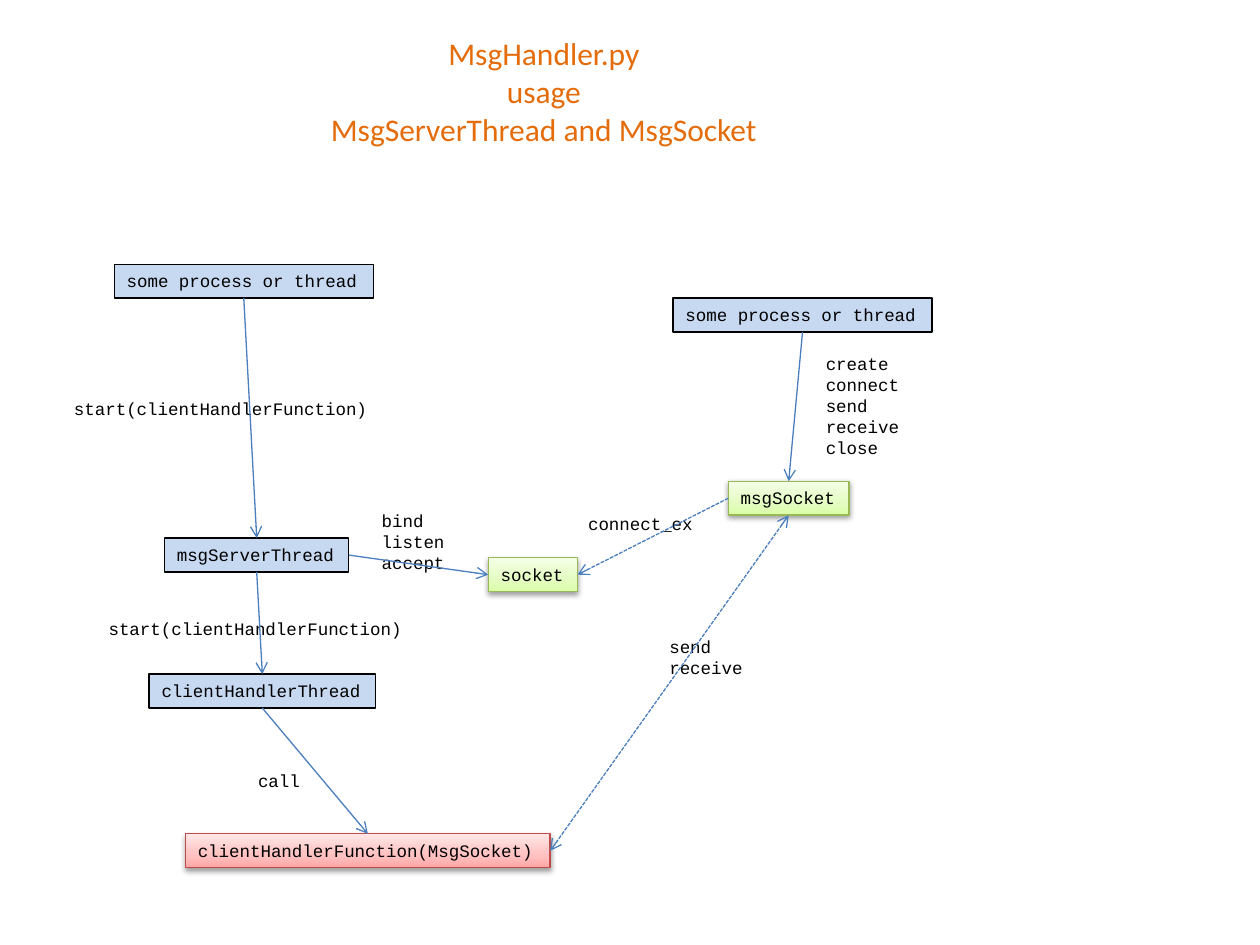
import copy

import pptx
import pptx.dml.color
import pptx.enum.dml
import pptx.enum.shapes
import pptx.enum.text
import pptx.oxml
import pptx.oxml.ns
import pptx.util

Pt = pptx.util.Pt
RGB = pptx.dml.color.RGBColor.from_string
PP = pptx.enum.text.PP_ALIGN

THEME = {
    "title": {"name": "Calibri", "size": Pt(18), "color": "E46C0A"},
    "code": {"name": "Courier New", "size": Pt(10), "color": "000000"},
    "connector": "4B7EBC",
    "line_width": Pt(0.75),
    "blue": {"fill": ["C6D9F1"], "line": "000000"},
    "green": {"fill": ["DAFDA7", "E4FCC2", "F5FFE7"], "line": "98B955"},
    "red": {"fill": ["FFA6A5", "FFC0BF", "FFE7E7"], "line": "BF4C48"},
}
FRAME = {
    "word_wrap": False,
    "auto_size": pptx.enum.text.MSO_AUTO_SIZE.SHAPE_TO_FIT_TEXT,
    "vertical_anchor": pptx.enum.text.MSO_ANCHOR.TOP,
}
SHADOW = (
    '<a:outerShdw xmlns:a="http://schemas.openxmlformats.org/drawingml/2006/main" '
    'blurRad="40000" dist="20000" dir="5400000" rotWithShape="0">'
    '<a:srgbClr val="000000"><a:alpha val="38000"/></a:srgbClr></a:outerShdw>'
)
ROW = 19.4


def write(sp, text, style, align):
    tf = sp.text_frame
    tf.text = text
    for name, value in FRAME.items():
        setattr(tf, name, value)
    for p in tf.paragraphs:
        p.alignment = align
        for r in p.runs:
            r.font.name = style["name"]
            r.font.size = style["size"]
            r.font.color.rgb = RGB(style["color"])


def paint(sp, style):
    sp.shadow.inherit = False
    sp.line.color.rgb = RGB(style["line"])
    sp.line.width = THEME["line_width"]
    colors = style["fill"]
    if len(colors) == 1:
        sp.fill.solid()
        sp.fill.fore_color.rgb = RGB(colors[0])
        return
    sp.fill.gradient()
    sp.fill.gradient_angle = 90
    stops = sp._element.spPr.find(".//" + pptx.oxml.ns.qn("a:gsLst"))
    stops.insert(1, copy.deepcopy(stops[0]))
    for stop, color, position in zip(sp.fill.gradient_stops, colors, (0, 0.35, 1)):
        stop.color.rgb = RGB(color)
        stop.position = position
    effects = sp._element.spPr.find(pptx.oxml.ns.qn("a:effectLst"))
    effects.append(pptx.oxml.parse_xml(SHADOW))


prs = pptx.Presentation()
prs.slide_width, prs.slide_height = Pt(720), Pt(540)
s = prs.slides.add_slide(prs.slide_layouts[5])

title = s.shapes.title
for name, value in {"left": 180.5, "top": 15.8, "width": 260.6, "height": 72.7}.items():
    setattr(title, name, Pt(value))
write(title, "MsgHandler.py\nusage\nMsgServerThread and MsgSocket", THEME["title"], PP.CENTER)

boxes = {}
for key, text, x, y, w, style in [
    ("server process", "some process or thread", 65.3, 151, 148, "blue"),
    ("client process", "some process or thread", 384.6, 170.4, 148, "blue"),
    ("server", "msgServerThread", 94, 307.5, 105.4, "blue"),
    ("handler thread", "clientHandlerThread", 85.2, 385.2, 129.4, "blue"),
    ("handler", "clientHandlerFunction(MsgSocket)", 106, 476.5, 208.4, "red"),
    ("socket", "socket", 279, 318.7, 51, "green"),
    ("msgSocket", "msgSocket", 416.2, 275, 69, "green"),
]:
    sp = s.shapes.add_shape(pptx.enum.shapes.MSO_SHAPE.RECTANGLE, Pt(x), Pt(y), Pt(w), Pt(ROW))
    paint(sp, THEME[style])
    write(sp, text, THEME["code"], PP.LEFT)
    boxes[key] = sp

for text, x, y, w in [
    ("start(clientHandlerFunction)", 35.2, 224, 184.3),
    ("start(clientHandlerFunction)", 55, 349.5, 184.3),
    ("call", 140.4, 436.4, 38.9),
    ("bind\nlisten\naccept", 211, 288, 51.1),
    ("connect_ex", 329, 289.6, 74.9),
    ("create\nconnect\nsend\nreceive\nclose", 464.8, 198.2, 56.9),
    ("send\nreceive", 375.4, 360, 56.9),
]:
    h = ROW + 12 * text.count("\n")
    sp = s.shapes.add_textbox(Pt(x), Pt(y), Pt(w), Pt(h))
    write(sp, text, THEME["code"], PP.LEFT)

TOP, LEFT, BOTTOM, RIGHT = range(4)
for start, start_side, end, end_side, dashed, ends in [
    ("server process", BOTTOM, "server", TOP, False, ["tailEnd"]),
    ("server", BOTTOM, "handler thread", TOP, False, ["tailEnd"]),
    ("handler thread", BOTTOM, "handler", TOP, False, ["tailEnd"]),
    ("server", RIGHT, "socket", LEFT, False, ["tailEnd"]),
    ("client process", BOTTOM, "msgSocket", TOP, False, ["tailEnd"]),
    ("msgSocket", LEFT, "socket", RIGHT, True, ["tailEnd"]),
    ("msgSocket", BOTTOM, "handler", RIGHT, True, ["headEnd", "tailEnd"]),
]:
    c = s.shapes.add_connector(pptx.enum.shapes.MSO_CONNECTOR.STRAIGHT, 0, 0, 0, 0)
    c.begin_connect(boxes[start], start_side)
    c.end_connect(boxes[end], end_side)
    c.line.color.rgb = RGB(THEME["connector"])
    c.line.width = THEME["line_width"]
    if dashed:
        c.line.dash_style = pptx.enum.dml.MSO_LINE.SQUARE_DOT
    ln = c.line._get_or_add_ln()
    for tag in ends:
        arrow = pptx.oxml.xmlchemy.OxmlElement("a:" + tag)
        arrow.set("type", "arrow")
        ln.append(arrow)
    c._element.spPr.append(pptx.oxml.xmlchemy.OxmlElement("a:effectLst"))

prs.save("out.pptx")
